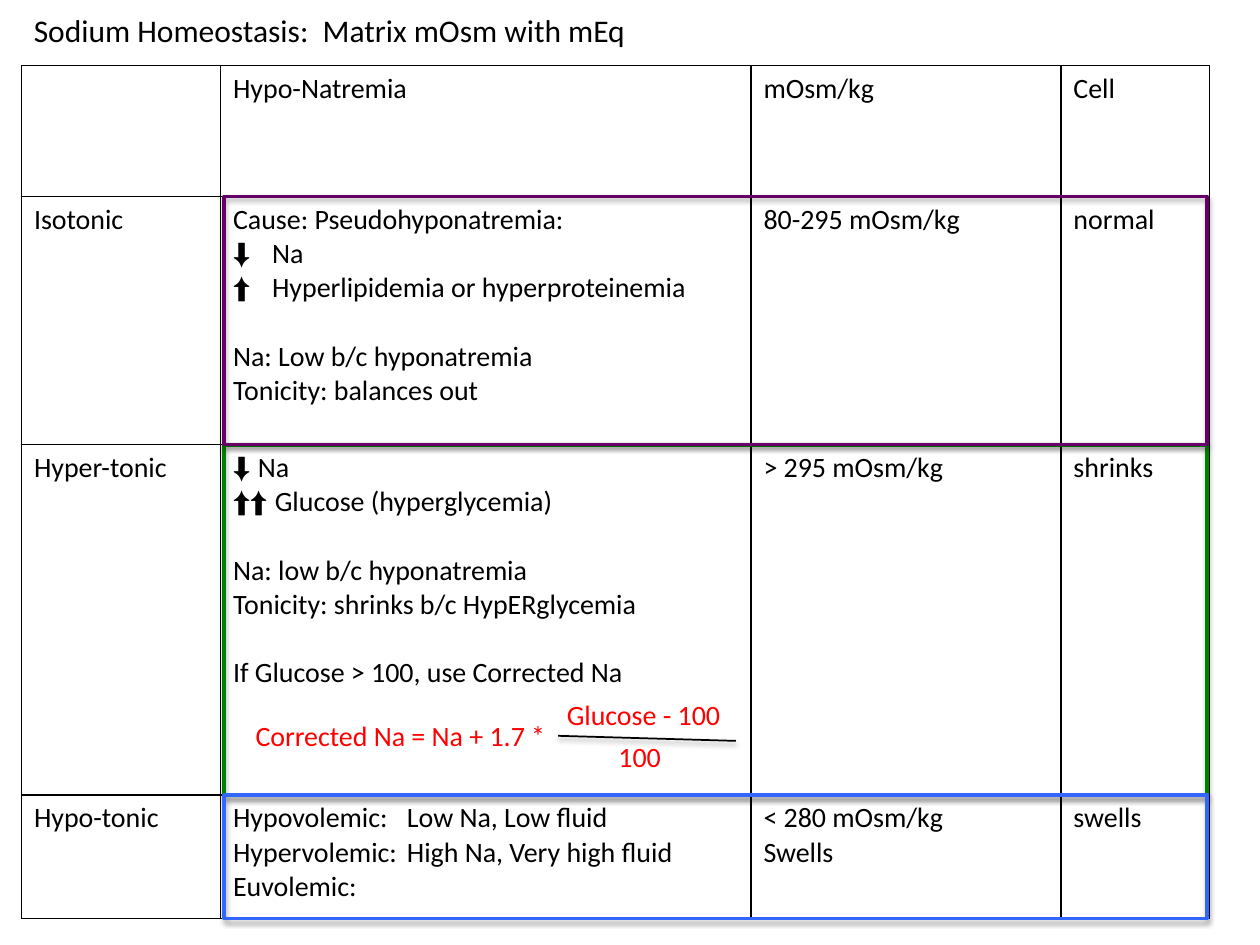
from itertools import accumulate, product
from lxml.etree import SubElement
from pptx import Presentation
from pptx.dml.color import RGBColor
from pptx.enum.shapes import MSO_CONNECTOR, MSO_SHAPE
from pptx.enum.text import MSO_AUTO_SIZE
from pptx.oxml.ns import qn
from pptx.util import Inches, Pt

THEME = dict(
    font="Calibri", sign="Arial", title=18, body=16, gap=19.5,
    ink="000000", red="FF0000", green="008000", plum="660066", blue="3366FF",
)
COLS = [1.58, 4.21, 2.46, 1.18]
ROWS = [1.04, 1.97, 2.78, 0.98]
LEFT, TOP = 0.17, 0.52
CELLS = [
    [[], ["Hypo-Natremia"], ["mOsm/kg"], ["Cell"]],
    [
        ["Isotonic"],
        [
            "Cause: Pseudohyponatremia:",
            dict(text="Na", mark="⬇"),
            dict(text="Hyperlipidemia or hyperproteinemia", mark="⬆"),
            dict(text="Na: Low b/c hyponatremia", gap=True),
            "Tonicity: balances out",
        ],
        ["80-295 mOsm/kg"],
        ["normal"],
    ],
    [
        ["Hyper-tonic"],
        [
            dict(text="Na", sign="⬇ "),
            dict(text="Glucose (hyperglycemia)", sign="⬆⬆ "),
            dict(text="Na: low b/c hyponatremia", gap=True),
            "Tonicity: shrinks b/c HypERglycemia",
            dict(text="If Glucose > 100, use Corrected Na", gap=True),
        ],
        ["> 295 mOsm/kg"],
        ["shrinks"],
    ],
    [
        ["Hypo-tonic"],
        [
            dict(text="Hypovolemic:\tLow Na, Low fluid", tab=1.38),
            dict(text="Hypervolemic:\tHigh Na, Very high fluid", tab=1.38),
            "Euvolemic:",
        ],
        ["< 280 mOsm/kg", "Swells"],
        ["swells"],
    ],
]
TITLE = ("Sodium Homeostasis:  Matrix mOsm with mEq", 0.17, 0.04, 4.96, 0.4)
TERMS = [
    ("Corrected Na = Na + 1.7 *", 1.93, 5.65, 2.85, 0.37),
    ("Glucose - 100", 4.4, 5.49, 1.44, 0.37),
    ("100", 4.81, 5.82, 0.54, 0.37),
]
BAR = (4.43, 5.84, 5.84, 5.88)


def tint(name):
    return RGBColor.from_string(THEME[name])


def write(para, text, size="body", color="ink", mark="", sign="", gap=False, tab=0):
    props = para._p.get_or_add_pPr()
    if mark:
        props.set("marL", str(Inches(0.31)))
        props.set("indent", str(-Inches(0.31)))
        SubElement(props, qn("a:buFont"), typeface=THEME["sign"])
        SubElement(props, qn("a:buChar"), char=mark)
    if tab:
        stops = SubElement(props, qn("a:tabLst"))
        SubElement(stops, qn("a:tab"), pos=str(Inches(tab)), algn="l")
    if gap:
        para.space_before = Pt(THEME["gap"])
    for part, face in ((sign, "sign"), (text, "font")):
        if part:
            run = para.add_run()
            run.text = part
            run.font.name = THEME[face]
            run.font.size = Pt(THEME[size])
            run.font.color.rgb = tint(color)


def label(slide, item, wrap=False, **style):
    text, *box = item
    frame = slide.shapes.add_textbox(*map(Inches, box)).text_frame
    frame.word_wrap = wrap
    frame.auto_size = MSO_AUTO_SIZE.SHAPE_TO_FIT_TEXT
    write(frame.paragraphs[0], text, **style)


def shade(shape, alpha):
    props = shape._element.spPr
    for old in props.findall(qn("a:effectLst")):
        props.remove(old)
    drop = SubElement(
        SubElement(props, qn("a:effectLst")), qn("a:outerShdw"),
        blurRad=str(Pt(3.1)), dist=str(Pt(1.8)), dir="5400000", rotWithShape="0",
    )
    ink = SubElement(drop, qn("a:srgbClr"), val=THEME["ink"])
    SubElement(ink, qn("a:alpha"), val=str(alpha * 1000))


def border(cell):
    props = cell._tc.get_or_add_tcPr()
    for side in "LRTB":
        line = SubElement(props, qn("a:ln" + side), w=str(Pt(1)))
        fill = SubElement(line, qn("a:solidFill"))
        SubElement(fill, qn("a:srgbClr"), val=THEME["ink"])
    cell.fill.background()


def matrix(slide):
    box = map(Inches, (LEFT, TOP, sum(COLS), sum(ROWS)))
    table = slide.shapes.add_table(len(ROWS), len(COLS), *box).table
    table.first_row = table.horz_banding = False
    for col, width in zip(table.columns, COLS):
        col.width = Inches(width)
    for row, height in zip(table.rows, ROWS):
        row.height = Inches(height)
    for r, c in product(range(len(ROWS)), range(len(COLS))):
        cell = table.cell(r, c)
        border(cell)
        frame = cell.text_frame
        for n, item in enumerate(CELLS[r][c]):
            para = frame.add_paragraph() if n else frame.paragraphs[0]
            write(para, **(item if isinstance(item, dict) else dict(text=item)))


def outline(slide, row, color):
    tops = list(accumulate(ROWS, initial=TOP))
    box = (LEFT + COLS[0] + 0.03, tops[row], sum(COLS[1:]) - 0.05, ROWS[row])
    shape = slide.shapes.add_shape(MSO_SHAPE.RECTANGLE, *map(Inches, box))
    shape.fill.background()
    shape.line.color.rgb = tint(color)
    shape.line.width = Pt(2)
    shade(shape, 35)


def main():
    deck = Presentation()
    deck.slide_width, deck.slide_height = Inches(10), Inches(7.5)
    slide = deck.slides.add_slide(deck.slide_layouts[6])
    label(slide, TITLE, size="title")
    matrix(slide)
    outline(slide, 2, "green")
    for n, term in enumerate(TERMS):
        label(slide, term, wrap=n == 0, color="red")
    bar = slide.shapes.add_connector(MSO_CONNECTOR.STRAIGHT, *map(Inches, BAR))
    bar.line.color.rgb = tint("ink")
    bar.line.width = Pt(1)
    shade(bar, 38)
    outline(slide, 1, "plum")
    outline(slide, 3, "blue")
    deck.save("out.pptx")


if __name__ == "__main__":
    main()
